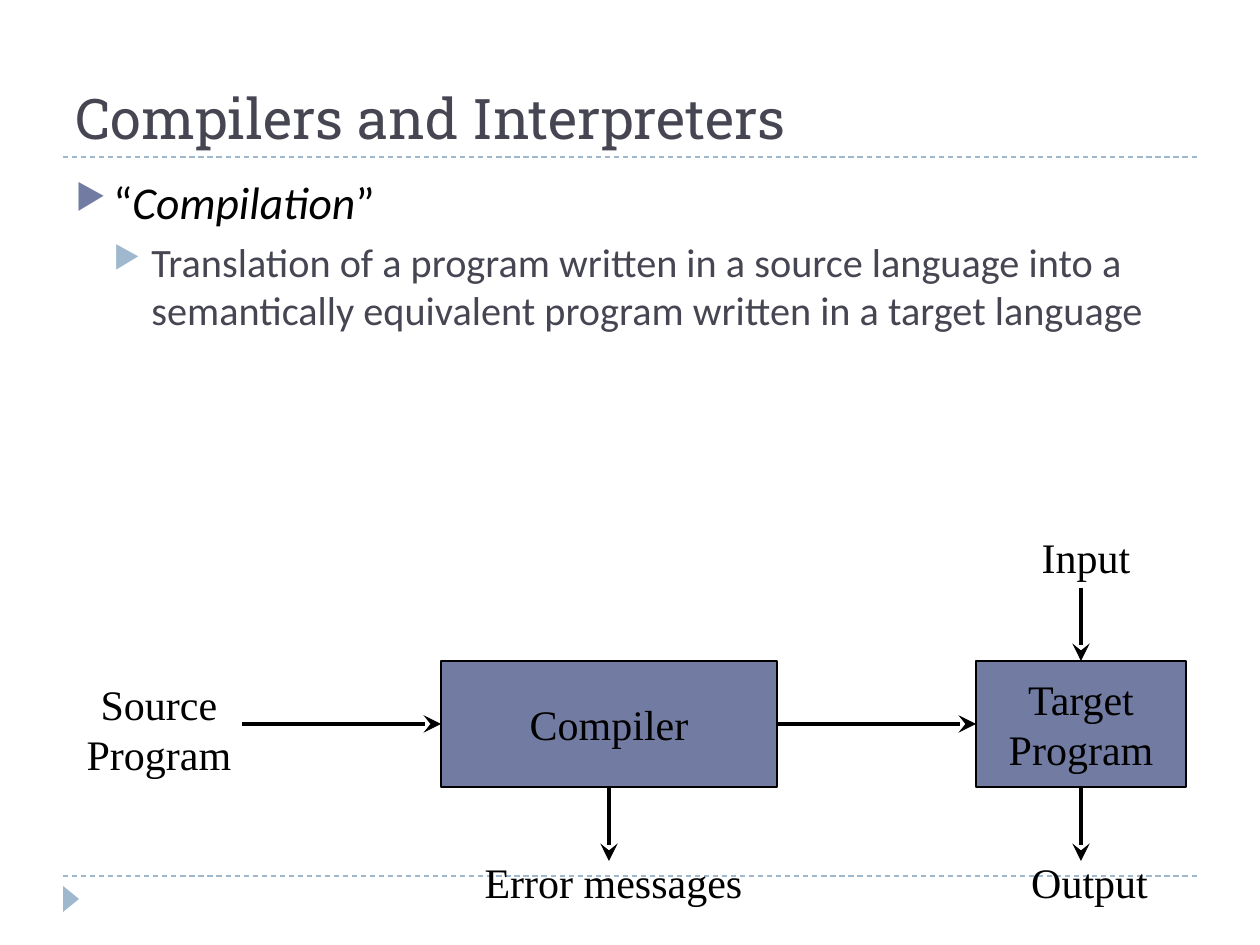
"""Builds the slide on compilers and interpreters."""
from lxml import etree
from pptx import Presentation
from pptx.dml.color import RGBColor
from pptx.enum.dml import MSO_LINE
from pptx.enum.shapes import MSO_CONNECTOR, MSO_SHAPE
from pptx.enum.text import MSO_ANCHOR, MSO_AUTO_SIZE, PP_ALIGN
from pptx.oxml.ns import qn
from pptx.util import Emu, Pt

DASH = MSO_LINE.DASH
STRAIGHT = MSO_CONNECTOR.STRAIGHT
RECTANGLE, TRIANGLE = MSO_SHAPE.RECTANGLE, MSO_SHAPE.ISOSCELES_TRIANGLE
TOP, MIDDLE, BOTTOM = MSO_ANCHOR.TOP, MSO_ANCHOR.MIDDLE, MSO_ANCHOR.BOTTOM
GROW = MSO_AUTO_SIZE.SHAPE_TO_FIT_TEXT
LEFT, CENTER = PP_ALIGN.LEFT, PP_ALIGN.CENTER

SCALE = 914400 / 126
SLIDE = (1260, 945)
INDENT = 38
BLACK, SLATE, INDIGO, SKY = "000000", "464653", "727CA3", "9FB8CD"
HEADING = ("Roboto Slab", 32, SLATE)
DIAGRAM = ("Times New Roman", 24, BLACK)

TITLE = ("Compilers and Interpreters", (63, 21, 1134, 136))
BODY_AREA = (63, 168, 1134, 680)
BODY = [
    {"runs": [("“", False), ("Compilation", True), ("”", False)],
     "style": ("Calibri", 26, BLACK), "before": 6, "bullet": INDIGO},
    {"runs": [("Translation of a program written in a source language into a "
               "semantically equivalent program written in a target language", False)],
     "style": ("Calibri", 23, SLATE), "before": 5, "bullet": SKY},
]
RULES = [876, 157]
MARKER = (58, 891, 26, 16)
BLOCKS = [
    (["Compiler"], (441, 661, 336, 126)),
    (["Target", "Program"], (976, 661, 210, 126)),
]
LABELS = [
    (["Error messages"], (470, 850, 287, 63)),
    (["Source", "Program"], (72, 672, 174, 113)),
    (["Input"], (1027, 525, 118, 63)),
    (["Output"], (1016, 850, 147, 63)),
]
ARROWS = [
    (242, 724, 441, 724),
    (777, 724, 976, 724),
    (609, 787, 609, 861),
    (1081, 787, 1081, 861),
    (1081, 588, 1081, 661),
]


def px(*lengths):
    return [Emu(round(length * SCALE)) for length in lengths]


def color(value):
    return RGBColor.from_string(value)


def add_run(para, text, style, italic=False):
    span = para.add_run()
    span.text = text
    span.font.name, size, ink = style
    span.font.size = Pt(size)
    span.font.color.rgb = color(ink)
    span.font.italic = italic


def write_lines(box, lines, style, align, anchor, wrap=False):
    frame = box.text_frame
    frame.word_wrap = wrap
    frame.vertical_anchor = anchor
    for index, line in enumerate(lines):
        para = frame.add_paragraph() if index else frame.paragraphs[0]
        para.alignment = align
        add_run(para, line, style)


def add_bullet(para, level, ink):
    para.level = level
    props = para._p.get_or_add_pPr()
    margin, hanging = px(INDENT * (level + 1), -INDENT)
    props.set("marL", str(margin))
    props.set("indent", str(hanging))
    holder = etree.SubElement(props, qn("a:buClr"))
    etree.SubElement(holder, qn("a:srgbClr"), val=ink)
    etree.SubElement(props, qn("a:buSzPct"), val="76000")
    etree.SubElement(props, qn("a:buChar"), char="▶")


def add_body(slide):
    frame = slide.shapes.add_textbox(*px(*BODY_AREA)).text_frame
    frame.word_wrap = True
    for level, item in enumerate(BODY):
        para = frame.add_paragraph() if level else frame.paragraphs[0]
        para.space_before = Pt(item["before"])
        add_bullet(para, level, item["bullet"])
        for text, italic in item["runs"]:
            add_run(para, text, item["style"], italic)


def add_filled(slide, kind, area, fill):
    shape = slide.shapes.add_shape(kind, *px(*area))
    shape.shadow.inherit = False
    shape.fill.solid()
    shape.fill.fore_color.rgb = color(fill)
    shape.line.fill.background()
    return shape


def add_line(slide, ends, ink, width):
    connector = slide.shapes.add_connector(STRAIGHT, *px(*ends))
    connector.line.color.rgb = color(ink)
    connector.line.width = Pt(width)
    etree.SubElement(connector._element.spPr, qn("a:effectLst"))
    return connector.line


def main():
    deck = Presentation()
    deck.slide_width, deck.slide_height = px(*SLIDE)
    slide = deck.slides.add_slide(deck.slide_layouts[6])

    for y in RULES:
        add_line(slide, (63, y, 1197, y), SKY, 0.75).dash_style = DASH
    add_filled(slide, TRIANGLE, MARKER, SKY).rotation = 90

    title, area = TITLE
    box = slide.shapes.add_textbox(*px(*area))
    write_lines(box, [title], HEADING, LEFT, BOTTOM, wrap=True)
    add_body(slide)

    for lines, area in BLOCKS:
        block = add_filled(slide, RECTANGLE, area, INDIGO)
        block.line.color.rgb = color(BLACK)
        block.line.width = Pt(0.75)
        write_lines(block, lines, DIAGRAM, CENTER, MIDDLE)
    for ends in ARROWS:
        line = add_line(slide, ends, BLACK, 2)
        etree.SubElement(line._get_or_add_ln(), qn("a:tailEnd"),
                         type="stealth", w="lg", len="lg")
    for lines, area in LABELS:
        box = slide.shapes.add_textbox(*px(*area))
        write_lines(box, lines, DIAGRAM, CENTER, TOP)
        box.text_frame.auto_size = GROW

    deck.save("out.pptx")


if __name__ == "__main__":
    main()
